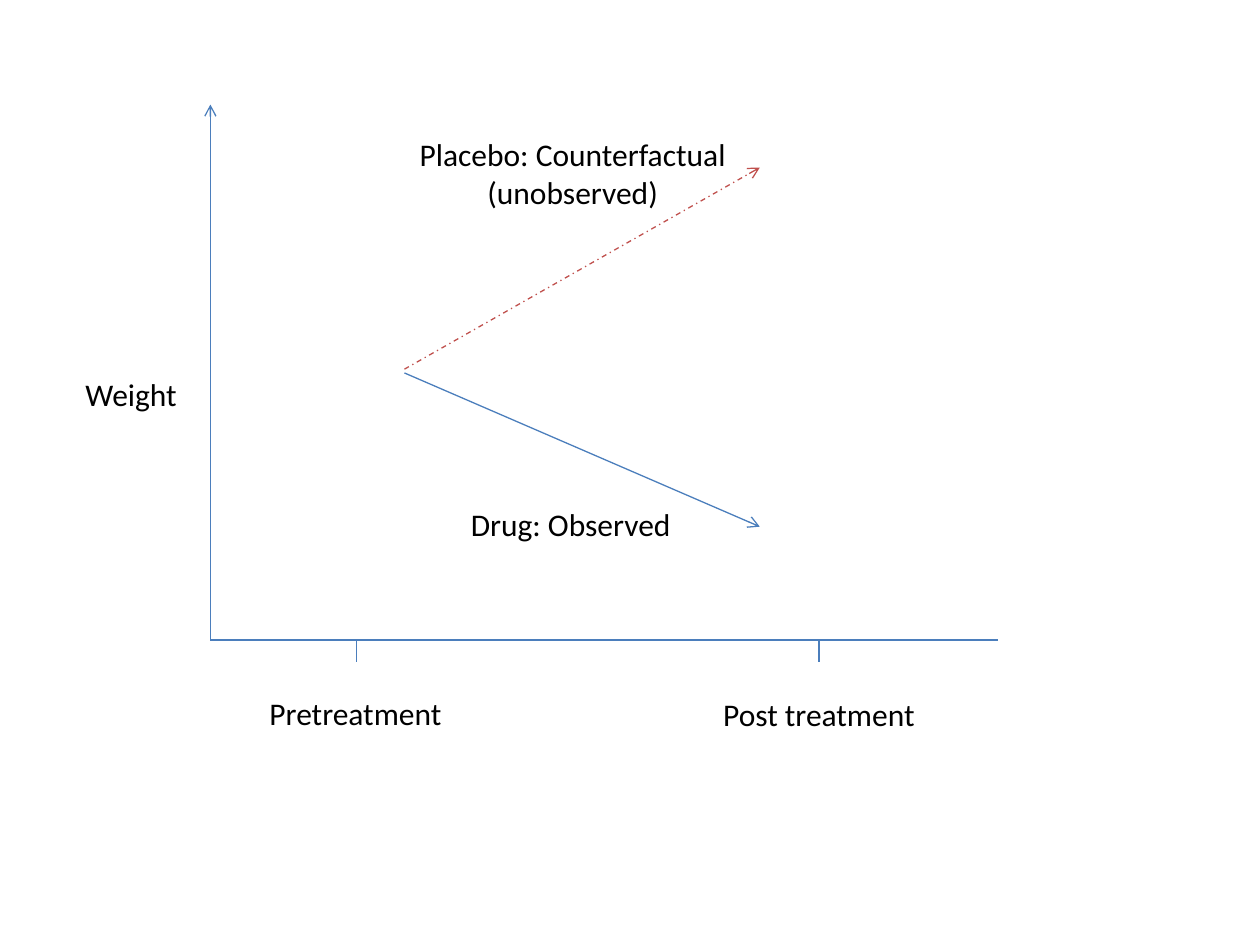
"""Build a slide comparing weight under drug and counterfactual placebo."""
from lxml import etree
from pptx import Presentation, util as u
from pptx.dml.color import RGBColor
from pptx.enum import dml, shapes, text
from pptx.oxml.ns import qn

COLORS = {"blue": "4B7EBC", "red": "C0504D", "black": "000000"}
FONT = {"name": "Calibri", "size": u.Pt(18)}
ORIGIN_X, AXIS_Y, TICK_LENGTH = 1.67, 5.08, 0.17
TICKS = [2.83, 6.5]
TREND_START, TREND_END = 3.21, 6.03

LINES = [
    ((ORIGIN_X, AXIS_Y), (ORIGIN_X, 0.83), "blue", True, None),
    ((ORIGIN_X, AXIS_Y), (7.92, AXIS_Y), "blue", False, None),
    *[((x, AXIS_Y), (x, AXIS_Y + TICK_LENGTH), "blue", False, None) for x in TICKS],
    ((TREND_START, 2.93), (TREND_END, 1.33), "red", True, dml.MSO_LINE.DASH_DOT),
    ((TREND_START, 2.96), (TREND_END, 4.18), "blue", True, None),
]
LEFT, CENTER = text.PP_ALIGN.LEFT, text.PP_ALIGN.CENTER
LABELS = [
    ("Weight", (0.58, 2.93, 0.94, 0.4), LEFT, False),
    ("Pretreatment", (2.04, 5.46, 1.58, 0.42), LEFT, True),
    ("Post treatment", (5.46, 5.47, 2.08, 0.4), CENTER, True),
    ("Placebo: Counterfactual (unobserved)", (3.05, 1.02, 2.99, 0.71), CENTER, True),
    ("Drug: Observed", (3.33, 3.96, 2.4, 0.4), CENTER, True),
]


def add_line(slide, start, end, color, arrow, dash):
    points = [u.Inches(value) for value in start + end]
    connector = slide.shapes.add_connector(shapes.MSO_CONNECTOR.STRAIGHT, *points)
    connector.line.color.rgb = RGBColor.from_string(COLORS[color])
    connector.line.width = u.Pt(0.75)
    if dash:
        connector.line.dash_style = dash
    if arrow:
        outline = connector.line._get_or_add_ln()
        etree.SubElement(outline, qn("a:tailEnd"), type="arrow")
    etree.SubElement(connector._element.spPr, qn("a:effectLst"))


def add_label(slide, wording, box, alignment, wrap):
    shape = slide.shapes.add_textbox(*[u.Inches(value) for value in box])
    frame = shape.text_frame
    frame.word_wrap = wrap
    frame.auto_size = text.MSO_AUTO_SIZE.SHAPE_TO_FIT_TEXT
    paragraph = frame.paragraphs[0]
    paragraph.alignment = alignment
    run = paragraph.add_run()
    run.text = wording
    for name, value in FONT.items():
        setattr(run.font, name, value)
    run.font.color.rgb = RGBColor.from_string(COLORS["black"])


def main():
    presentation = Presentation()
    presentation.slide_width = u.Inches(10)
    presentation.slide_height = u.Inches(7.5)
    slide = presentation.slides.add_slide(presentation.slide_layouts[6])
    for line in LINES:
        add_line(slide, *line)
    for label in LABELS:
        add_label(slide, *label)
    presentation.save("out.pptx")


if __name__ == "__main__":
    main()
